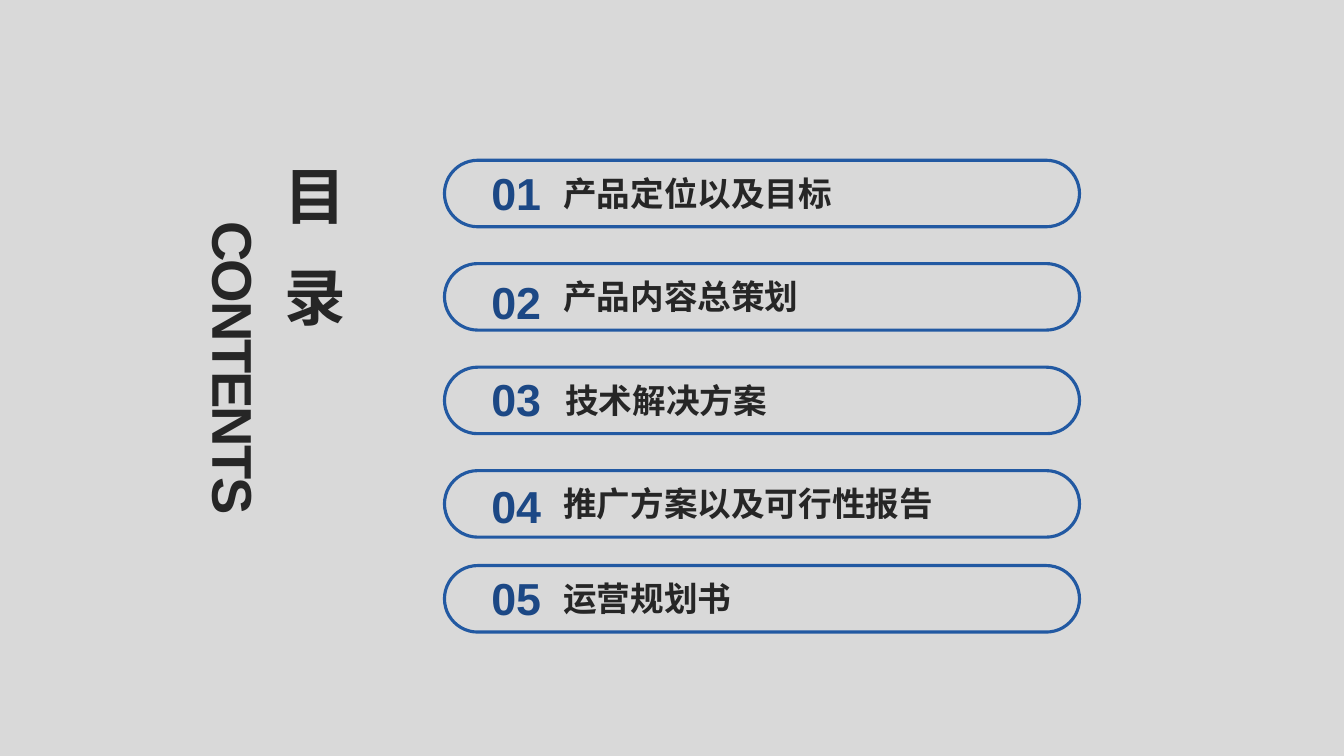
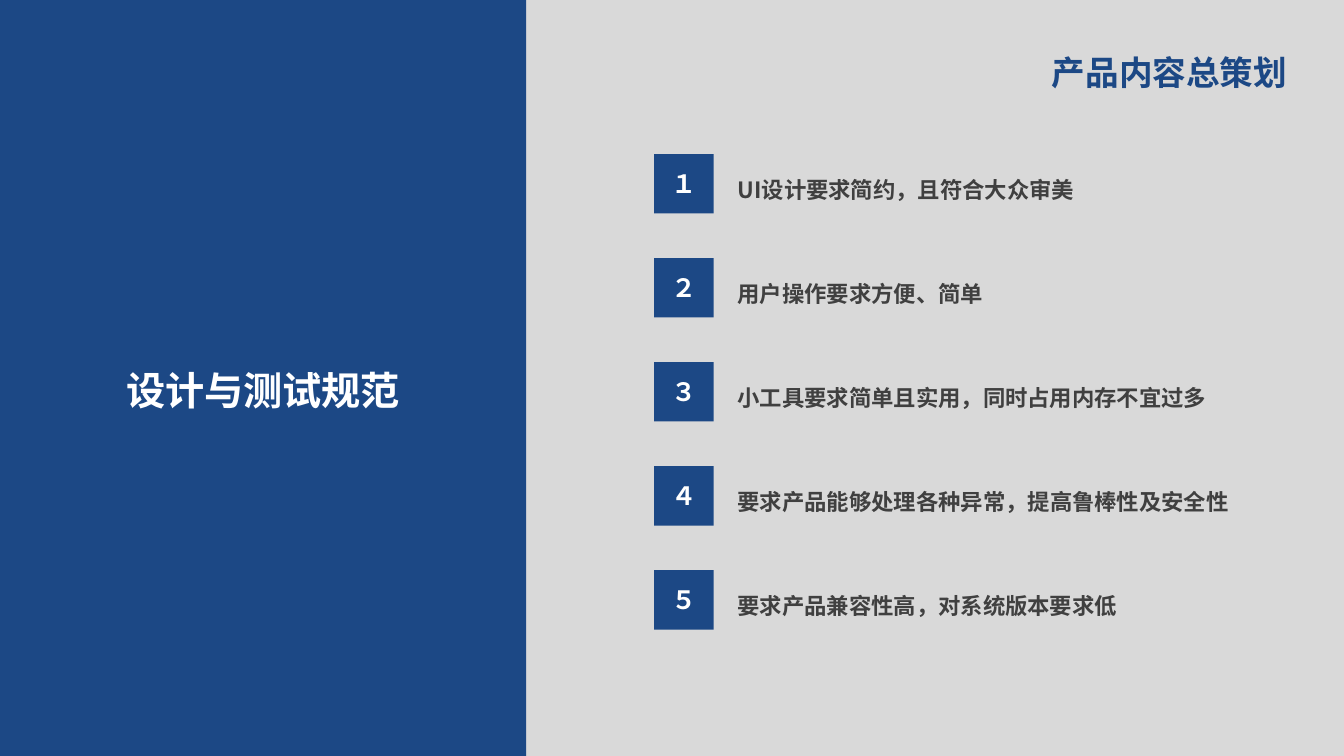
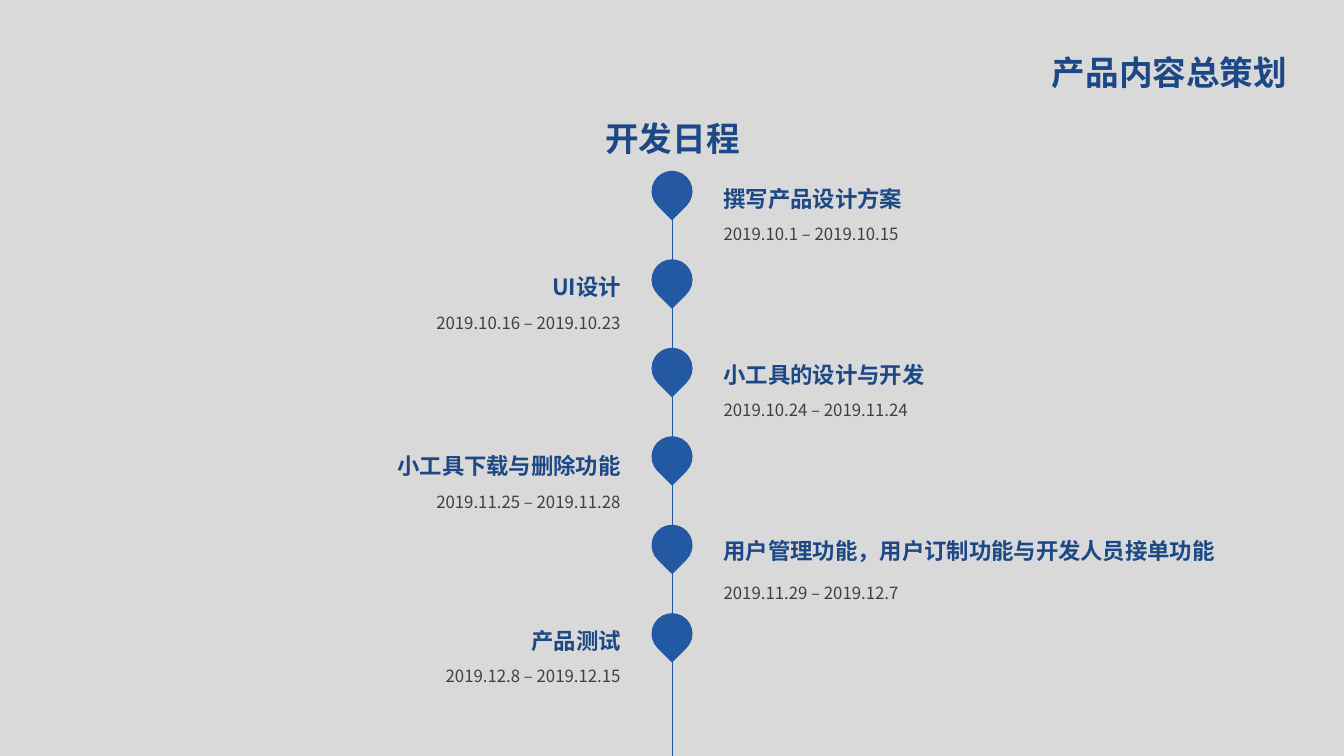
from dataclasses import dataclass
from typing import Any, NamedTuple

import pptx
import pptx.dml.color
import pptx.enum.shapes
import pptx.enum.text
import pptx.oxml
import pptx.oxml.ns
import pptx.util

Pt = pptx.util.Pt
RGBColor = pptx.dml.color.RGBColor
MSO_SHAPE = pptx.enum.shapes.MSO_SHAPE
MSO_ANCHOR = pptx.enum.text.MSO_ANCHOR
PP_ALIGN = pptx.enum.text.PP_ALIGN
qn = pptx.oxml.ns.qn

GREY = RGBColor(0xD9, 0xD9, 0xD9)
NAVY = RGBColor(0x1C, 0x48, 0x85)
BLUE = RGBColor(0x22, 0x59, 0xA2)
INK = RGBColor(0x26, 0x26, 0x26)
BODY = RGBColor(0x40, 0x40, 0x40)
WHITE = RGBColor(0xFF, 0xFF, 0xFF)

CJK = "Noto Sans CJK SC"
LATIN = "Arial"
SLIDE_W, SLIDE_H = 960, 540
TITLE_ONLY = 5


class Box(NamedTuple):
    left: float
    top: float
    width: float
    height: float


@dataclass
class AgendaItem:
    top: float
    label: str
    width: float
    number_drop: float = 0
    indent: float = 0


@dataclass
class Rule:
    text: str
    width: float


@dataclass
class Milestone:
    top: float
    name: str
    dates: str
    width: float
    date_gap: float = 30.2


AGENDA = [
    AgendaItem(114.5, "产品定位以及目标", 232.6),
    AgendaItem(188.3, "产品内容总策划", 217.4, number_drop=4.6),
    AgendaItem(262.3, "技术解决方案", 163.4, indent=1.4),
    AgendaItem(336.2, "推广方案以及可行性报告", 330.5, number_drop=2.2),
    AgendaItem(404, "运营规划书", 163.4),
]

RULES = [
    Rule("UI设计要求简约，且符合大众审美", 277.2),
    Rule("用户操作要求方便、简单", 299.5),
    Rule("小工具要求简单且实用，同时占用内存不宜过多", 364.3),
    Rule("要求产品能够处理各种异常，提高鲁棒性及安全性", 382.3),
    Rule("要求产品兼容性高，对系统版本要求低", 364.3),
]

MILESTONES = [
    Milestone(118.8, "撰写产品设计方案", "2019.10.1 – 2019.10.15", 142.6),
    Milestone(182.2, "UI设计", "2019.10.16 – 2019.10.23", 142.6),
    Milestone(244.8, "小工具的设计与开发", "2019.10.24 – 2019.11.24", 176.4),
    Milestone(309.6, "小工具下载与删除功能", "2019.11.25 – 2019.11.28", 178.6, 31),
    Milestone(370.8, "用户管理功能，用户订制功能与开发人员接单功能",
              "2019.11.29 – 2019.12.7", 368.6, 34.6),
    Milestone(434.9, "产品测试", "2019.12.8 – 2019.12.15", 142.6),
]


def write(sp: Any, text: str, *, size: float, color: RGBColor, font: str = CJK,
          bold: bool = True, align: Any = PP_ALIGN.LEFT, anchor: Any = MSO_ANCHOR.TOP,
          line_spacing: float = 1.0, tracking: float = 0, vertical: bool = False,
          grow: bool = True) -> None:
    """Fill a shape with one formatted paragraph; tracking is in points."""
    tf = sp.text_frame
    tf.word_wrap = True
    tf.vertical_anchor = anchor
    if grow:
        tf.auto_size = pptx.enum.text.MSO_AUTO_SIZE.SHAPE_TO_FIT_TEXT
    if vertical:
        sp.element.txBody.bodyPr.set("vert", "eaVert")
    p = tf.paragraphs[0]
    p.alignment = align
    p.line_spacing = line_spacing
    r = p.add_run()
    r.text = text
    r.font.size = Pt(size)
    r.font.bold = bold
    r.font.name = font
    r.font.color.rgb = color
    for props in sp.element.iter(qn("a:rPr")):
        if tracking:
            props.set("spc", str(round(tracking * 100)))
        ea = pptx.oxml.parse_xml(f'<a:ea {pptx.oxml.ns.nsdecls("a")} typeface="{CJK}"/>')
        props.find(qn("a:latin")).addnext(ea)


def add_text(slide: Any, box: Box, text: str, **fmt: Any) -> None:
    write(slide.shapes.add_textbox(*map(Pt, box)), text, **fmt)


def add_shape(slide: Any, kind: Any, box: Box, fill: RGBColor | None = None,
              line: RGBColor | None = None, line_width: float = 1) -> Any:
    sp = slide.shapes.add_shape(kind, *map(Pt, box))
    sp.shadow.inherit = False
    if fill is None:
        sp.fill.background()
    else:
        sp.fill.solid()
        sp.fill.fore_color.rgb = fill
    if line is None:
        sp.line.fill.background()
    else:
        sp.line.color.rgb = line
        sp.line.width = Pt(line_width)
    return sp


def add_slide(prs: Any, title: str, box: Box, **fmt: Any) -> Any:
    slide = prs.slides.add_slide(prs.slide_layouts[TITLE_ONLY])
    sp = slide.shapes.title
    sp.left, sp.top, sp.width, sp.height = map(Pt, box)
    write(sp, title, **fmt)
    return slide


def add_section_slide(prs: Any) -> Any:
    return add_slide(prs, "产品内容总策划", Box(663.8, 33.1, 262.8, 36),
                     size=24, color=NAVY, align=PP_ALIGN.RIGHT)


def build_contents(prs: Any) -> None:
    slide = add_slide(prs, "目 录", Box(189.4, 114.5, 67.7, 167), size=44, color=INK,
                      align=PP_ALIGN.CENTER, tracking=9, vertical=True)
    add_text(slide, Box(131.8, 151.2, 63.4, 267.8), "CONTENTS", size=40, color=INK,
             font=LATIN, align=PP_ALIGN.CENTER, tracking=-1.5, vertical=True)
    for i, item in enumerate(AGENDA, 1):
        pill = add_shape(slide, MSO_SHAPE.ROUNDED_RECTANGLE,
                         Box(317.5, item.top, 453.6, 47.5), line=BLUE, line_width=2.25)
        pill.adjustments[0] = 0.5
        add_text(slide, Box(340.6, item.top + item.number_drop, 56.2, 46), f"{i:02}",
                 size=32, color=NAVY, font=LATIN, align=PP_ALIGN.CENTER)
        add_text(slide, Box(395.3 + item.indent, item.top + 5.4, item.width, 36.5),
                 item.label, size=24, color=INK)


def build_rules(prs: Any) -> None:
    slide = add_section_slide(prs)
    add_shape(slide, MSO_SHAPE.RECTANGLE, Box(0, 0, 375.8, SLIDE_H), fill=NAVY)
    add_text(slide, Box(65.5, 241.2, 244.8, 58.3), "设计与测试规范", size=28, color=WHITE,
             align=PP_ALIGN.CENTER, line_spacing=1.5)
    for i, (number, rule) in enumerate(zip("１２３４５", RULES)):
        top = 110 + 74.3 * i
        square = add_shape(slide, MSO_SHAPE.RECTANGLE, Box(467.2, top, 42.5, 42.5), fill=NAVY)
        write(square, number, size=18, color=WHITE, font=LATIN, align=PP_ALIGN.CENTER,
              anchor=MSO_ANCHOR.MIDDLE, grow=False)
        add_text(slide, Box(519.8, top + 3, rule.width, 36), rule.text,
                 size=16, color=BODY, line_spacing=1.5)


def build_schedule(prs: Any) -> None:
    slide = add_section_slide(prs)
    axis = SLIDE_W / 2
    line = slide.shapes.add_connector(pptx.enum.shapes.MSO_CONNECTOR.STRAIGHT,
                                      Pt(axis), Pt(151.2), Pt(axis), Pt(SLIDE_H))
    line.line.color.rgb = BLUE
    line.line.width = Pt(0.5)
    line.element.spPr.append(
        pptx.oxml.parse_xml(f'<a:effectLst {pptx.oxml.ns.nsdecls("a")}/>'))
    add_text(slide, Box(409, 66.2, 142.6, 51.1), "开发日程", size=24, color=NAVY,
             align=PP_ALIGN.CENTER, line_spacing=1.5)

    drop_size, date_width = 28.3, 379.4
    for i, m in enumerate(MILESTONES):
        drop = add_shape(slide, MSO_SHAPE.TEAR,
                         Box(axis - drop_size / 2, 122.5 + 63.2 * i, drop_size, drop_size),
                         fill=BLUE, line=BLUE)
        drop.rotation = 135
        on_right = i % 2 == 0
        align = PP_ALIGN.LEFT if on_right else PP_ALIGN.RIGHT
        name_left, date_left = (509.8 if on_right else 450.5 - width
                                for width in (m.width, date_width))
        add_text(slide, Box(name_left, m.top, m.width, 36), m.name,
                 size=16, color=NAVY, align=align, line_spacing=1.5)
        add_text(slide, Box(date_left, m.top + m.date_gap, date_width, 28.8), m.dates,
                 size=12, color=BODY, bold=False, align=align, line_spacing=1.5)


def main() -> None:
    prs = pptx.Presentation()
    prs.slide_width, prs.slide_height = Pt(SLIDE_W), Pt(SLIDE_H)
    background = prs.slide_master.background.fill
    background.solid()
    background.fore_color.rgb = GREY
    build_contents(prs)
    build_rules(prs)
    build_schedule(prs)
    prs.save("out.pptx")


if __name__ == "__main__":
    main()
